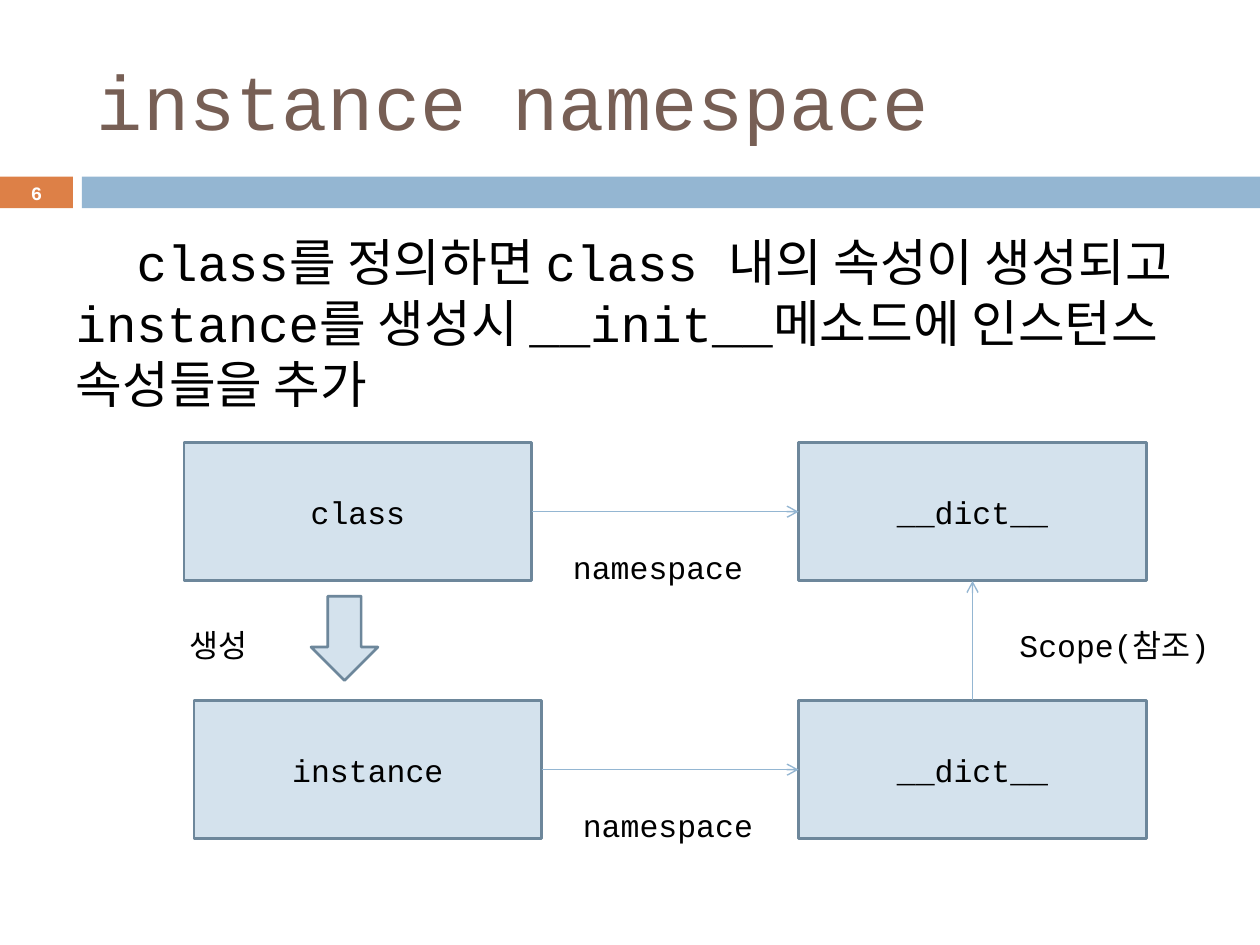
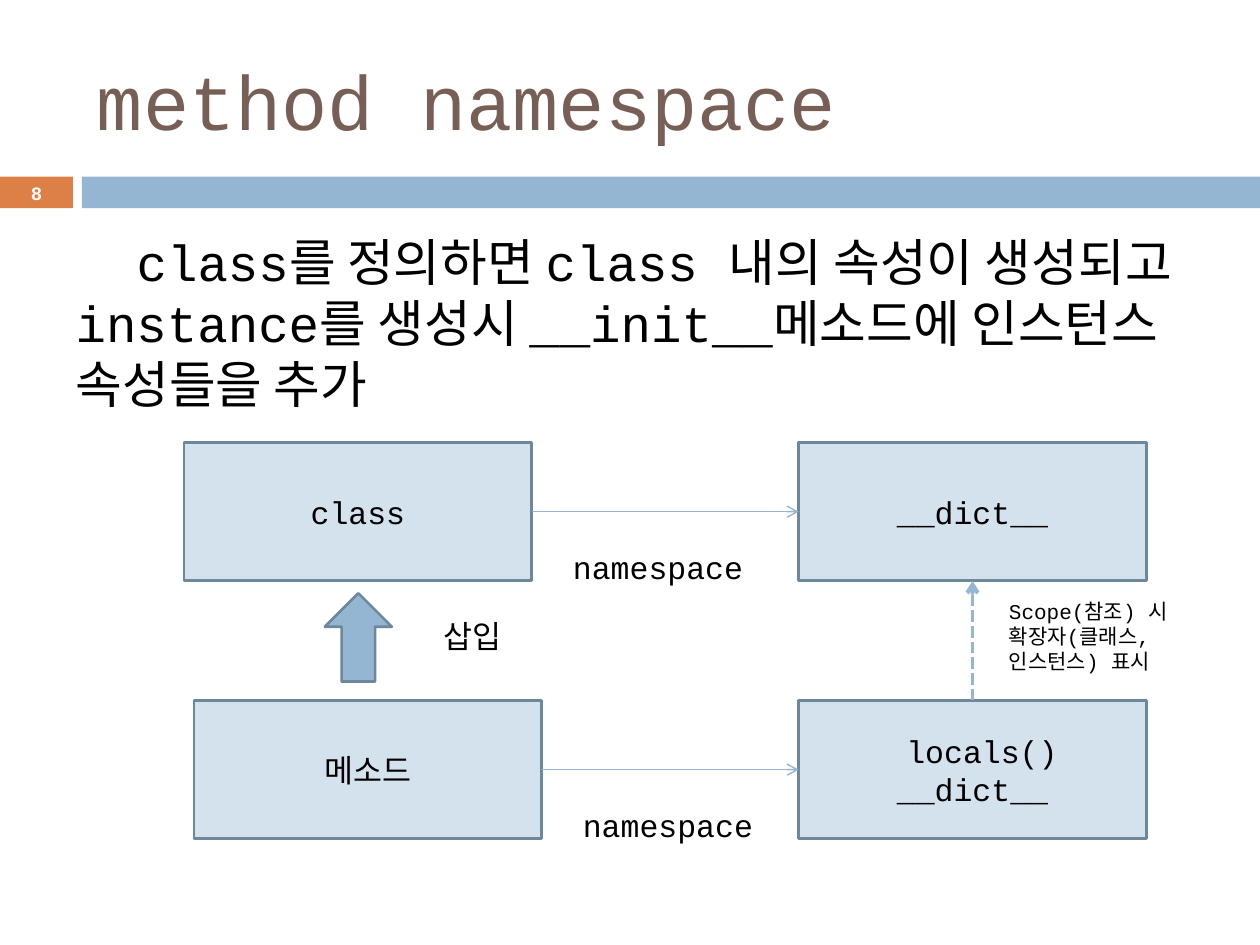
from lxml.etree import SubElement
from pptx import Presentation
from pptx.dml.color import RGBColor
from pptx.enum.dml import MSO_LINE
from pptx.enum.shapes import MSO_CONNECTOR, MSO_SHAPE
from pptx.enum.text import MSO_ANCHOR, MSO_AUTO_SIZE, PP_ALIGN
from pptx.oxml.ns import qn
from pptx.util import Cm, Pt

FONT = "Courier New"
BLACK, WHITE, BROWN = "000000", "FFFFFF", "775F55"
ORANGE, BLUE, PALE_BLUE, BORDER = "DD8047", "94B6D2", "D4E2ED", "6D879B"

BAND_TOP, BAND_HEIGHT, NUMBER_WIDTH = 3.56, 0.64, 1.47
BOX_WIDTH, BOX_HEIGHT = 7.01, 2.79
ROW_TOPS = (8.92, 14.12)
OWNER_LEFTS = (3.71, 3.91)
DICT_LEFT = 16.1
TOP, LEFT, BOTTOM, RIGHT = range(4)

SUMMARY = ("class를 정의하면 class 내의 속성이 생성되고 instance를 생성시 "
           "__init__메소드에 인스턴스 속성들을 추가")


def color(hex_value):
    return RGBColor.from_string(hex_value)


def write(frame, text, size=18, ink=BLACK, bold=False, align=PP_ALIGN.LEFT,
          anchor=None, before=0):
    frame.word_wrap = True
    if anchor is not None:
        frame.vertical_anchor = anchor
    for index, line in enumerate(text.split("\n")):
        para = frame.add_paragraph() if index else frame.paragraphs[0]
        para.alignment = align
        para.space_before = Pt(before)
        span = para.add_run()
        span.text = line
        span.font.name = FONT
        span.font.size = Pt(size)
        span.font.bold = bold
        span.font.color.rgb = color(ink)


def place(shape, left, top, width, height):
    shape.left, shape.top = Cm(left), Cm(top)
    shape.width, shape.height = Cm(width), Cm(height)


def add_figure(page, kind, left, top, width, height, fill, border=None):
    figure = page.shapes.add_shape(kind, Cm(left), Cm(top), Cm(width), Cm(height))
    figure.shadow.inherit = False
    figure.fill.solid()
    figure.fill.fore_color.rgb = color(fill)
    if border:
        figure.line.color.rgb = color(border)
        figure.line.width = Pt(1.5)
    else:
        figure.line.fill.background()
    return figure


def add_box(page, text, left, top):
    box = add_figure(page, MSO_SHAPE.RECTANGLE, left, top, BOX_WIDTH, BOX_HEIGHT,
                     PALE_BLUE, BORDER)
    write(box.text_frame, text, align=PP_ALIGN.CENTER, anchor=MSO_ANCHOR.MIDDLE)
    return box


def add_label(page, text, left, top, width, height=1.02, **text_format):
    label = page.shapes.add_textbox(Cm(left), Cm(top), Cm(width), Cm(height))
    write(label.text_frame, text, **text_format)
    label.text_frame.auto_size = MSO_AUTO_SIZE.SHAPE_TO_FIT_TEXT


def add_link(page, start, start_side, end, end_side, width=0.79, dash=None):
    link = page.shapes.add_connector(MSO_CONNECTOR.STRAIGHT, 0, 0, 0, 0)
    link.begin_connect(start, start_side)
    link.end_connect(end, end_side)
    link.line.color.rgb = color(BLUE)
    link.line.width = Pt(width)
    if dash:
        link.line.dash_style = dash
    properties = link.element.spPr
    SubElement(properties.find(qn("a:ln")), qn("a:tailEnd"), type="arrow")
    SubElement(properties, qn("a:effectLst"))


def prepare_layout(deck):
    layout = deck.slide_layouts[1]
    place(layout.placeholders[0], 1.7, 0.64, 22.66, 2.74)
    place(layout.placeholders[1], 1.27, 4.52, 22.86, 4.6)
    return layout


def add_bands_to_layout(layout, page):
    band_left = 1.65
    for left, width, fill in ((0, NUMBER_WIDTH, ORANGE),
                              (band_left, 25.4 - band_left, BLUE)):
        band = add_figure(page, MSO_SHAPE.RECTANGLE, left, BAND_TOP, width,
                          BAND_HEIGHT, fill)
        layout.shapes.element.append(band.element)


def add_page(deck, layout, title, number):
    page = deck.slides.add_slide(layout)
    write(page.shapes.title.text_frame, title, size=44, ink=BROWN,
          anchor=MSO_ANCHOR.MIDDLE)
    page.shapes.title.text_frame.auto_size = MSO_AUTO_SIZE.NONE

    body = page.placeholders[1].text_frame
    write(body, SUMMARY, size=29, before=7)
    body.auto_size = MSO_AUTO_SIZE.NONE
    properties = body.paragraphs[0]._p.get_or_add_pPr()
    properties.set("marL", "0")
    properties.set("indent", str(Cm(1.23)))
    SubElement(properties, qn("a:buNone"))

    box = page.shapes.add_textbox(0, Cm(BAND_TOP), Cm(NUMBER_WIDTH), Cm(BAND_HEIGHT))
    frame = box.text_frame
    frame.margin_top = frame.margin_bottom = 0
    write(frame, number, size=10.8, ink=WHITE, bold=True,
          align=PP_ALIGN.CENTER, anchor=MSO_ANCHOR.MIDDLE)
    return page


def add_namespaces(page, rows, **scope_format):
    dict_boxes = []
    for (owner, contents), left, top in zip(rows, OWNER_LEFTS, ROW_TOPS):
        owner_box = add_box(page, owner, left, top)
        dict_box = add_box(page, contents, DICT_LEFT, top)
        add_link(page, owner_box, RIGHT, dict_box, LEFT)
        add_label(page, "namespace", left + 7.59, top + 2.01, 3.99)
        dict_boxes.append(dict_box)
    upper, lower = dict_boxes
    add_link(page, lower, TOP, upper, BOTTOM, **scope_format)


def main():
    deck = Presentation()
    deck.slide_width, deck.slide_height = Cm(25.4), Cm(19.05)
    layout = prepare_layout(deck)

    page = add_page(deck, layout, "instance namespace", "6")
    add_bands_to_layout(layout, page)
    add_namespaces(page, [("class", "__dict__"), ("instance", "__dict__")])
    add_figure(page, MSO_SHAPE.DOWN_ARROW, 6.27, 12.02, 1.35, 1.7, PALE_BLUE, BORDER)
    add_label(page, "생성", 2.31, 12.5, 4.19, align=PP_ALIGN.CENTER)
    add_label(page, "Scope(참조)", 20.3, 12.5, 4.39)

    page = add_page(deck, layout, "method namespace", "8")
    add_namespaces(page, [("class", "__dict__"), ("메소드", " locals()\n__dict__")],
                   width=2.25, dash=MSO_LINE.SQUARE_DOT)
    add_figure(page, MSO_SHAPE.UP_ARROW, 6.55, 11.96, 1.35, 1.78, BLUE, BORDER)
    add_label(page, "삽입", 8.69, 12.32, 2.21)
    add_label(page, "Scope(참조) 시 확장자(클래스, 인스턴스) 표시", 20.09, 11.94,
              4.39, 1.8, size=12)

    deck.save("out.pptx")


if __name__ == "__main__":
    main()
